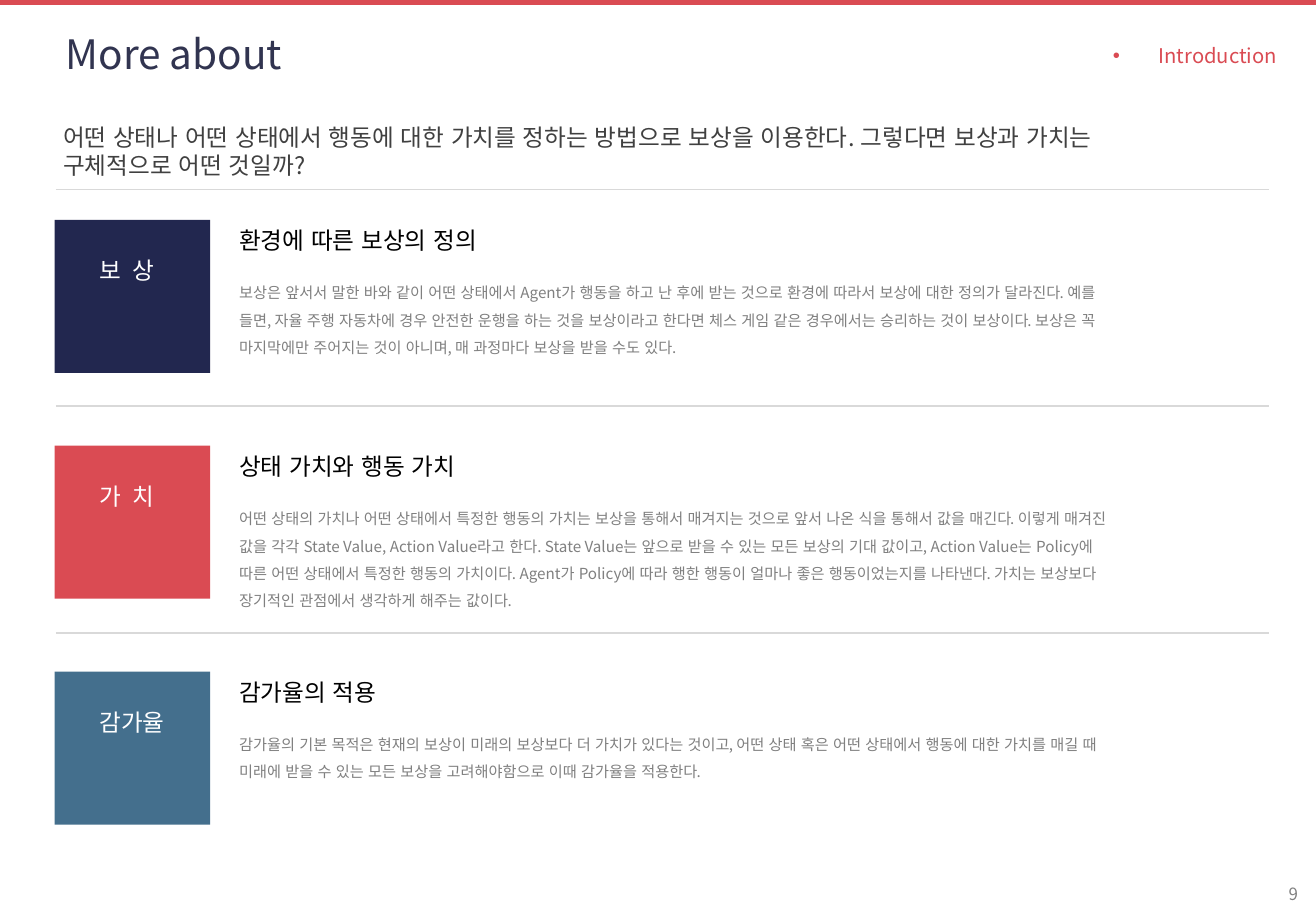
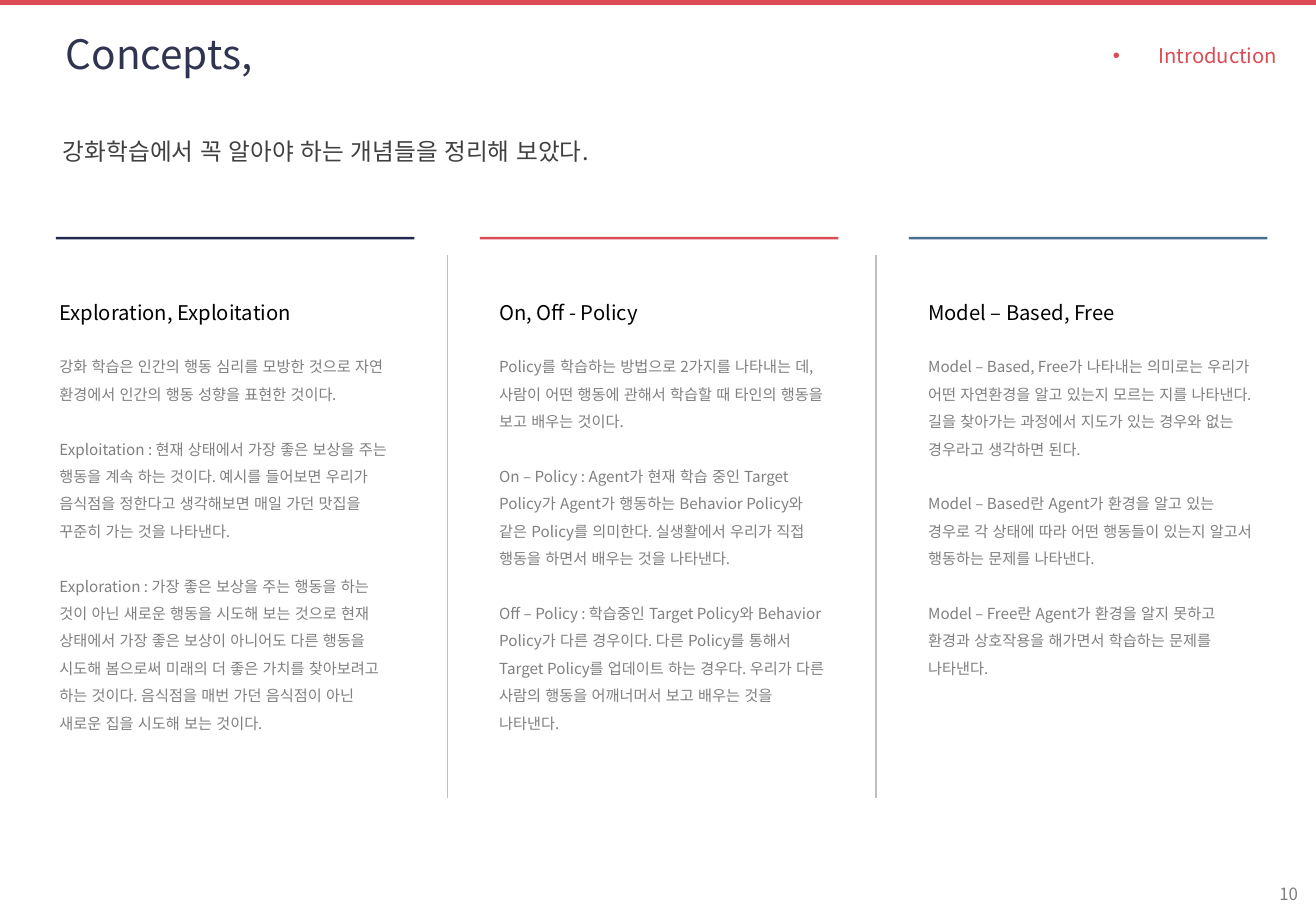
from lxml.etree import SubElement
from pptx import Presentation
from pptx.dml.color import RGBColor
from pptx.enum.lang import MSO_LANGUAGE_ID
from pptx.enum.shapes import MSO_CONNECTOR, MSO_SHAPE
from pptx.enum.text import MSO_ANCHOR, MSO_AUTO_SIZE, PP_ALIGN
from pptx.oxml.ns import qn
from pptx.util import Inches, Pt

FONT = "Noto Sans CJK KR"
COLORS = {
    "navy": "22274F", "red": "DA4B53", "blue": "446F8D", "title": "313450",
    "lead": "404040", "head": "000000", "body": "808080", "white": "FFFFFF",
    "rule": "D9D9D9", "split": "BFBFBF",
}
TONES = ["navy", "red", "blue"]


def write(frame, lines, size, tone, space=1.0, align=PP_ALIGN.LEFT,
          anchor=MSO_ANCHOR.TOP):
    """Fill a text frame, one paragraph a line, and format it."""
    frame.word_wrap = True
    frame.auto_size = MSO_AUTO_SIZE.NONE
    frame.vertical_anchor = anchor
    frame.text = "\n".join(lines)
    for i, para in enumerate(frame.paragraphs):
        para.alignment = align
        para.line_spacing = space
        para.space_before = Pt(16.25 if i else 0)
        for run in para.runs:
            font = run.font
            font.size = Pt(size)
            font.name = FONT
            font.color.rgb = RGBColor.from_string(COLORS[tone])
            font.language_id = MSO_LANGUAGE_ID.KOREAN
            SubElement(run._r.get_or_add_rPr(), qn("a:ea"), typeface=FONT)


def note(slide, x, y, w, h, lines, size, tone, **style):
    """Add a text box and return its frame."""
    box = slide.shapes.add_textbox(Inches(x), Inches(y), Inches(w), Inches(h))
    write(box.text_frame, lines, size, tone, **style)
    return box.text_frame


deck = Presentation()
deck.slide_width, deck.slide_height = Inches(10.83), Inches(7.5)

# Shared places of the title and the section name
layout = deck.slide_layouts[1]
for i, (x, w) in enumerate([(0.44, 7.26), (7.76, 2.85)]):
    holder = layout.placeholders[i]
    holder.left, holder.top = Inches(x), Inches(0.2)
    holder.width, holder.height = Inches(w), Inches(0.48)

pages = [
    ("More about", 9, 8.89,
     "어떤 상태나 어떤 상태에서 행동에 대한 가치를 정하는 방법으로 보상을 이용한다. "
     "그렇다면 보상과 가치는 구체적으로 어떤 것일까?"),
    ("Concepts,", 10, 8.46,
     "강화학습에서 꼭 알아야 하는 개념들을 정리해 보았다."),
]
for title, number, width, lead in pages:
    slide = deck.slides.add_slide(layout)
    write(slide.shapes.title.text_frame, [title], 24, "title",
          anchor=MSO_ANCHOR.MIDDLE)
    frame = slide.placeholders[1].text_frame
    props = frame.paragraphs[0]._p.get_or_add_pPr()
    props.set("marL", "0")
    props.set("indent", "0")
    SubElement(props, qn("a:buNone"))
    write(frame, ["Introduction"], 12, "red", space=1.2,
          align=PP_ALIGN.RIGHT, anchor=MSO_ANCHOR.MIDDLE)
    note(slide, 0.42, 1.08, width, 0.33, [lead], 14, "lead",
         anchor=MSO_ANCHOR.MIDDLE)
    note(slide, 8.45, 7.24, 2.33, 0.24, [str(number)], 10, "body",
         align=PP_ALIGN.RIGHT, anchor=MSO_ANCHOR.MIDDLE)

more, ideas = deck.slides
tops = [1.81 + 1.86 * i for i in range(3)]
lefts = [0.46, 3.95, 7.48]

# Bands, squares and column bars
blocks = [(slide, 0, -0.01, 10.84, 0.05, "red") for slide in deck.slides]
blocks += [(more, 0.45, y, 1.28, 1.26, tone) for y, tone in zip(tops, TONES)]
blocks += [(ideas, x, 1.95, 2.95, 0.02, tone) for x, tone in zip(lefts, TONES)]
for slide, x, y, w, h, tone in blocks:
    block = slide.shapes.add_shape(
        MSO_SHAPE.RECTANGLE, Inches(x), Inches(y), Inches(w), Inches(h))
    block.shadow.inherit = False
    block.fill.solid()
    block.fill.fore_color.rgb = RGBColor.from_string(COLORS[tone])
    block.line.fill.background()

# Row rules and column dividers
rules = [(more, 0.46, y, 10.44, y, "rule", 1) for y in (1.56, 3.34, 5.21)]
rules += [(ideas, x, 2.1, x, 6.57, "split", 0.75) for x in (3.68, 7.21)]
for slide, x1, y1, x2, y2, tone, width in rules:
    rule = slide.shapes.add_connector(
        MSO_CONNECTOR.STRAIGHT, Inches(x1), Inches(y1), Inches(x2), Inches(y2))
    rule.line.color.rgb = RGBColor.from_string(COLORS[tone])
    rule.line.width = Pt(width)
    SubElement(rule._element.spPr, qn("a:effectLst"))

rows = [
    ("보 상", "환경에 따른 보상의 정의", 0.75,
     "보상은 앞서서 말한 바와 같이 어떤 상태에서 Agent가 행동을 하고 난 후에 받는 것으로 "
     "환경에 따라서 보상에 대한 정의가 달라진다. 예를 들면, 자율 주행 자동차에 경우 안전한 "
     "운행을 하는 것을 보상이라고 한다면 체스 게임 같은 경우에서는 승리하는 것이 보상이다. "
     "보상은 꼭 마지막에만 주어지는 것이 아니며, 매 과정마다 보상을 받을 수도 있다."),
    ("가 치", "상태 가치와 행동 가치", 0.98,
     "어떤 상태의 가치나 어떤 상태에서 특정한 행동의 가치는 보상을 통해서 매겨지는 것으로 "
     "앞서 나온 식을 통해서 값을 매긴다. 이렇게 매겨진 값을 각각 State Value, Action "
     "Value라고 한다. State Value는 앞으로 받을 수 있는 모든 보상의 기대 값이고, Action "
     "Value는 Policy에 따른 어떤 상태에서 특정한 행동의 가치이다. Agent가 Policy에 따라 "
     "행한 행동이 얼마나 좋은 행동이었는지를 나타낸다. 가치는 보상보다 장기적인 관점에서 "
     "생각하게 해주는 값이다."),
    ("감가율", "감가율의 적용", 0.53,
     "감가율의 기본 목적은 현재의 보상이 미래의 보상보다 더 가치가 있다는 것이고, 어떤 상태 "
     "혹은 어떤 상태에서 행동에 대한 가치를 매길 때 미래에 받을 수 있는 모든 보상을 "
     "고려해야함으로 이때 감가율을 적용한다."),
]
for y, (label, head, height, text) in zip(tops, rows):
    note(more, 1.87, y, 5.08, 0.34, [head], 14, "head")
    note(more, 1.87, y + 0.4, 7.44, height, [text], 9, "body", space=1.5)
    frame = note(more, 0.72, y + 0.25, 0.89, 0.34, [label], 14, "white")
    if " " in label:  # spread the two syllables
        frame.paragraphs[0].runs[0]._r.get_or_add_rPr().set("spc", "150")

columns = [
    (0.39, "Exploration, Exploitation", 3.48, [
        "강화 학습은 인간의 행동 심리를 모방한 것으로 자연 환경에서 인간의 행동 성향을 "
        "표현한 것이다.",
        "Exploitation : 현재 상태에서 가장 좋은 보상을 주는 행동을 계속 하는 것이다. "
        "예시를 들어보면 우리가 음식점을 정한다고 생각해보면 매일 가던 맛집을 꾸준히 가는 "
        "것을 나타낸다.",
        "Exploration : 가장 좋은 보상을 주는 행동을 하는 것이 아닌 새로운 행동을 시도해 "
        "보는 것으로 현재 상태에서 가장 좋은 보상이 아니어도 다른 행동을 시도해 봄으로써 "
        "미래의 더 좋은 가치를 찾아보려고 하는 것이다. 음식점을 매번 가던 음식점이 아닌 "
        "새로운 집을 시도해 보는 것이다."]),
    (4.01, "On, Off - Policy", 3.25, [
        "Policy를 학습하는 방법으로 2가지를 나타내는 데, 사람이 어떤 행동에 관해서 학습할 "
        "때 타인의 행동을 보고 배우는 것이다.",
        "On – Policy : Agent가 현재 학습 중인 Target Policy가 Agent가 행동하는 "
        "Behavior Policy와 같은 Policy를 의미한다. 실생활에서 우리가 직접 행동을 하면서 "
        "배우는 것을 나타낸다.",
        "Off – Policy : 학습중인 Target Policy와 Behavior Policy가 다른 경우이다. "
        "다른 Policy를 통해서 Target Policy를 업데이트 하는 경우다. 우리가 다른 사람의 "
        "행동을 어깨너머서 보고 배우는 것을 나타낸다."]),
    (7.54, "Model – Based, Free", 2.8, [
        "Model – Based, Free가 나타내는 의미로는 우리가 어떤 자연환경을 알고 있는지 "
        "모르는 지를 나타낸다. 길을 찾아가는 과정에서 지도가 있는 경우와 없는 경우라고 "
        "생각하면 된다.",
        "Model – Based란 Agent가 환경을 알고 있는 경우로 각 상태에 따라 어떤 행동들이 "
        "있는지 알고서 행동하는 문제를 나타낸다.",
        "Model – Free란 Agent가 환경을 알지 못하고 환경과 상호작용을 해가면서 학습하는 "
        "문제를 나타낸다."]),
]
for x, head, height, lines in columns:
    note(ideas, x, 2.42, 2.89, 0.3, [head], 12, "head")
    note(ideas, x, 2.82, 2.89, height, lines, 9, "body", space=1.5)

deck.save("out.pptx")
